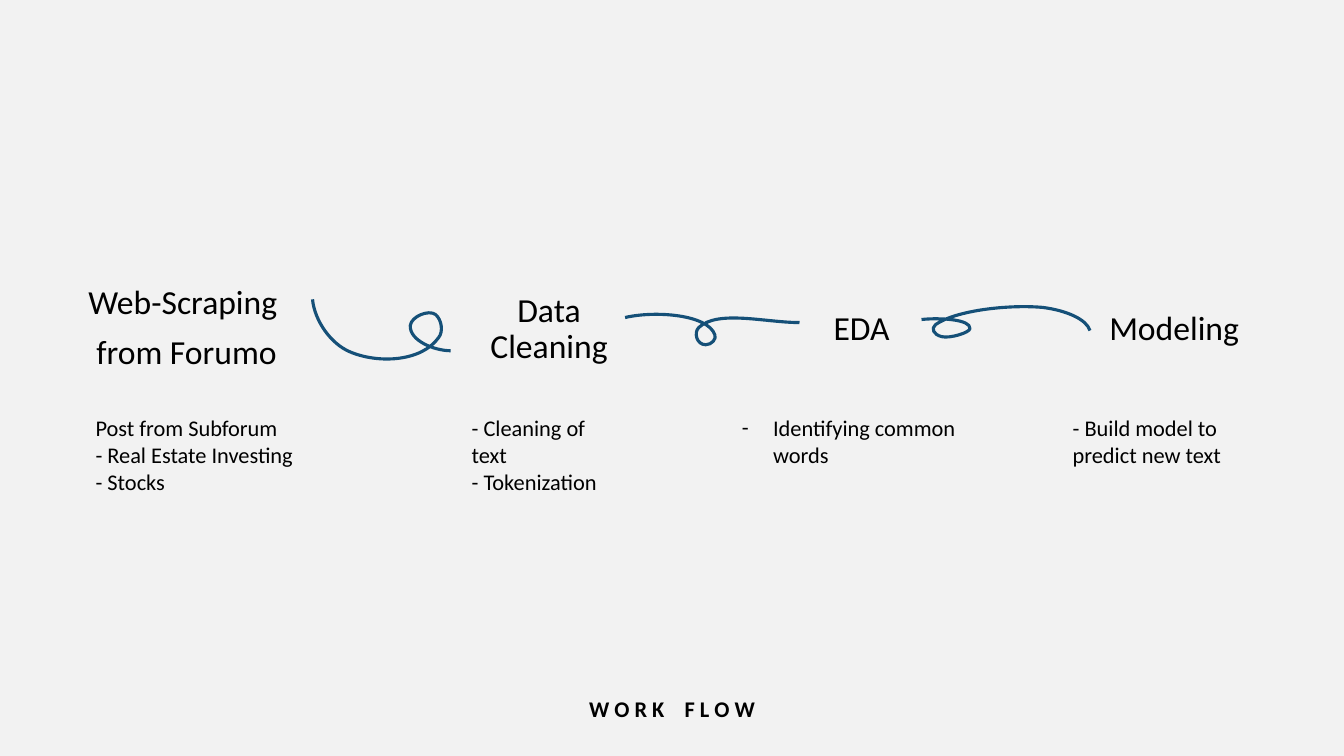
from lxml.etree import SubElement
from pptx import Presentation
from pptx.dml.color import RGBColor as Color
from pptx.enum.text import MSO_AUTO_SIZE as AutoSize, PP_ALIGN as Align
from pptx.oxml.ns import qn
from pptx.util import Inches, Pt

COLORS = {"background": "F2F2F2", "text": "000000", "curve": "155078"}
FONT = "Calibri"
HEADING = {"alignment": Align.CENTER, "line_spacing": 0.9, "space_before": Pt(10)}


class WorkflowSlide:
    def __init__(self, presentation):
        self.slide = presentation.slides.add_slide(presentation.slide_layouts[6])
        fill = self.slide.background.fill
        fill.solid()
        fill.fore_color.rgb = Color.from_string(COLORS["background"])

    def text(self, box, lines, size, paragraph_format=None, bold=False):
        """Add a text box and return its paragraphs."""
        shape = self.slide.shapes.add_textbox(*map(Inches, box))
        frame = shape.text_frame
        frame_format = {"word_wrap": True, "auto_size": AutoSize.SHAPE_TO_FIT_TEXT}
        for side in ("left", "right", "top", "bottom"):
            frame_format[f"margin_{side}"] = Inches(0.1)
        for name, value in frame_format.items():
            setattr(frame, name, value)
        for index, line in enumerate(lines):
            paragraph = frame.add_paragraph() if index else frame.paragraphs[0]
            for name, value in (paragraph_format or {}).items():
                setattr(paragraph, name, value)
            for part in line if isinstance(line, tuple) else (line,):
                run = paragraph.add_run()
                run.text = part
                font_format = {"name": FONT, "size": Pt(size), "bold": bold}
                for name, value in font_format.items():
                    setattr(run.font, name, value)
                run.font.color.rgb = Color.from_string(COLORS["text"])
        return frame.paragraphs

    def dash_bullet(self, paragraph, indent):
        properties = paragraph._p.get_or_add_pPr()
        properties.set("marL", str(Inches(indent)))
        properties.set("indent", str(-Inches(indent)))
        SubElement(properties, qn("a:buFont")).set("typeface", FONT)
        SubElement(properties, qn("a:buChar")).set("char", "-")

    def curve(self, start, points):
        """Draw joined Bezier curves; each takes three of the points."""
        builder = self.slide.shapes.build_freeform(*map(Inches, start))
        builder.add_line_segments([(Inches(x), Inches(y)) for x, y in points], close=False)
        shape = builder.convert_to_shape()
        shape.shadow.inherit = False
        shape.fill.background()
        shape.line.color.rgb = Color.from_string(COLORS["curve"])
        shape.line.width = Pt(2.25)
        # Turn every three straight segments into one cubic curve
        outline = shape._element.find(".//" + qn("a:path"))
        for index, segment in enumerate(outline.findall(qn("a:lnTo"))):
            if index % 3 == 0:
                cubic = SubElement(outline, qn("a:cubicBezTo"))
            cubic.append(segment[0])
            outline.remove(segment)


def main():
    presentation = Presentation()
    presentation.slide_width = Inches(13.33)
    presentation.slide_height = Inches(7.5)
    workflow = WorkflowSlide(presentation)

    # Slide title, with a wider gap between its two words
    title = workflow.text((5.13, 6.8, 3.07, 0.47), [("W O R K", " ", "F L O W")], 16,
                          {"alignment": Align.CENTER}, bold=True)
    title[0].runs[1].font._element.set("spc", "1085")

    # Step headings
    headings = [
        ((0.59, 2.73, 2.52, 1.21), ["Web-Scraping ", "from Forumo"]),
        ((4.69, 2.81, 1.51, 1.07), ["Data Cleaning"]),
        ((7.79, 2.99, 1.51, 0.71), ["EDA"]),
        ((10.89, 2.99, 1.51, 0.71), ["Modeling"]),
    ]
    for box, lines in headings:
        workflow.text(box, lines, 24, HEADING)

    # Looping curves between the steps
    curves = [
        ((3.1, 2.97), [(3.12, 3.18), (3.28, 3.41), (3.47, 3.49),
                       (3.75, 3.61), (4.18, 3.59), (4.35, 3.35),
                       (4.4, 3.29), (4.38, 3.17), (4.32, 3.12),
                       (4.25, 3.07), (4.08, 3.14), (4.07, 3.23),
                       (4.06, 3.38), (4.31, 3.48), (4.47, 3.48)]),
        ((6.2, 3.15), [(6.5, 3.08), (7.02, 3.12), (7.09, 3.32),
                       (7.11, 3.36), (7.06, 3.42), (7, 3.42),
                       (6.91, 3.42), (6.88, 3.3), (6.93, 3.25),
                       (7.12, 3.07), (7.59, 3.2), (7.93, 3.2)]),
        ((10.81, 3.28), [(10.78, 3.17), (10.58, 3.08), (10.34, 3.05),
                         (10, 3.02), (9.48, 3.08), (9.28, 3.22),
                         (9.23, 3.26), (9.26, 3.32), (9.34, 3.34),
                         (9.42, 3.36), (9.62, 3.3), (9.62, 3.26),
                         (9.63, 3.17), (9.33, 3.15), (9.14, 3.17)]),
    ]
    for start, points in curves:
        workflow.curve(start, points)

    # Step details
    details = [
        (0.85, 2.57, 1.01, ["Post from Subforum", "- Real Estate Investing", "- Stocks"]),
        (4.58, 1.72, 0.74, ["- Cleaning of text", "- Tokenization"]),
        (10.54, 2.21, 0.74, ["- Build model to predict new text"]),
    ]
    for left, width, height, lines in details:
        workflow.text((left, 4.01, width, height), lines, 16)
    analysis = workflow.text((7.26, 4.01, 2.66, 0.74), ["Identifying common words"], 16)
    workflow.dash_bullet(analysis[0], 0.31)

    presentation.save("out.pptx")


if __name__ == "__main__":
    main()
